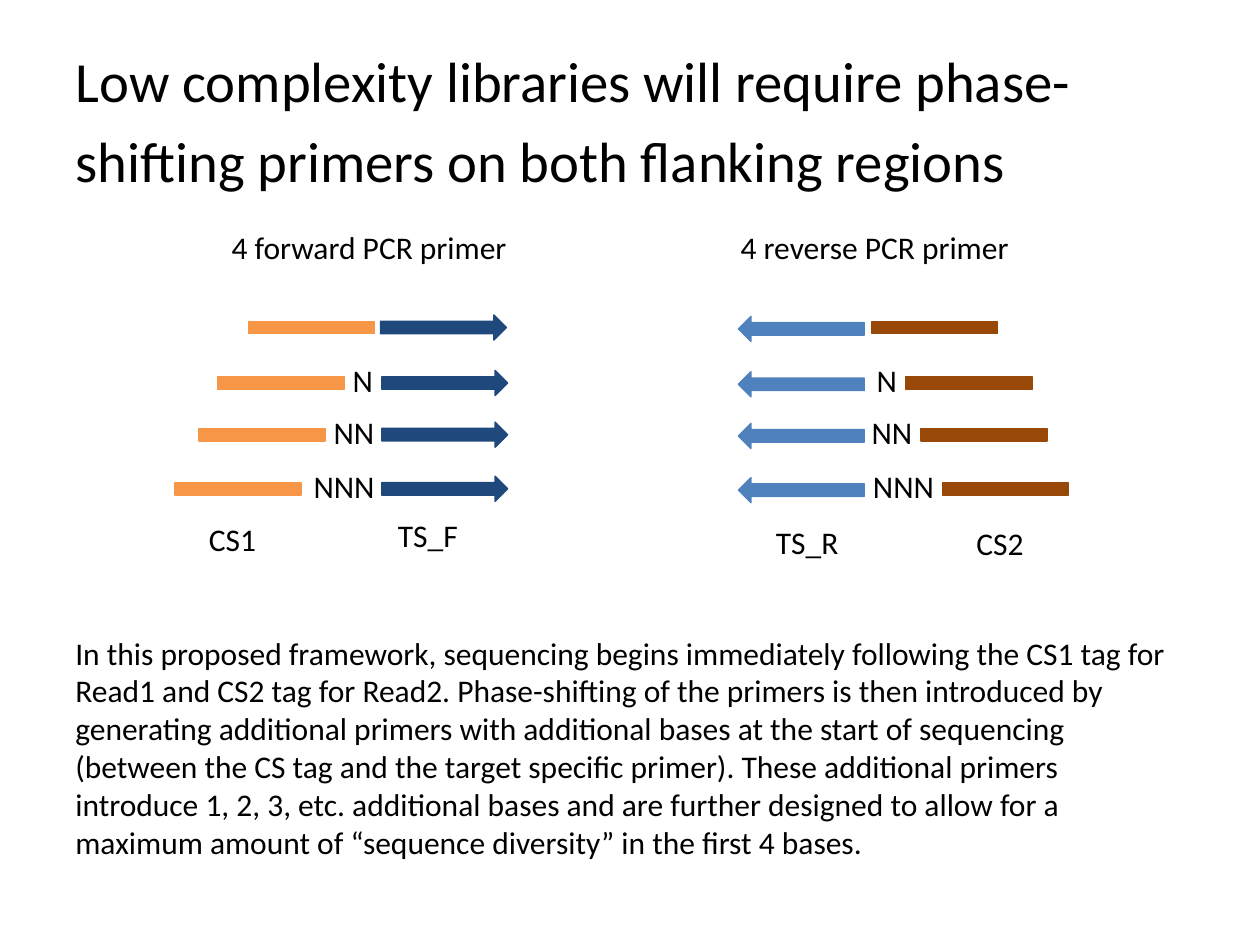
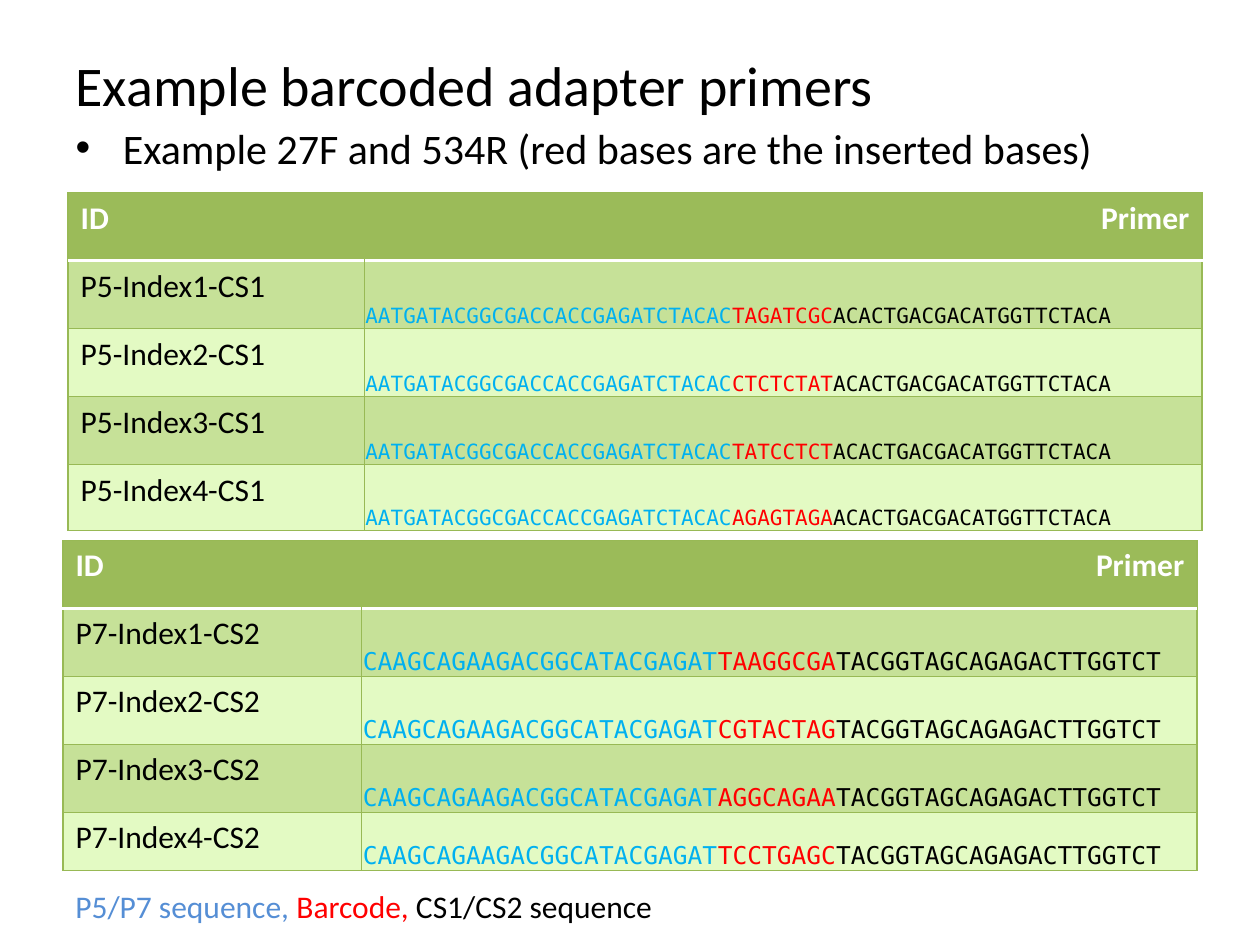
"""Builds two slides on phase-shifting and barcoded primers."""
from lxml import etree
from pptx import Presentation
from pptx.dml.color import RGBColor
from pptx.enum.shapes import MSO_SHAPE
from pptx.enum.text import MSO_ANCHOR, MSO_AUTO_SIZE, PP_ALIGN
from pptx.oxml.ns import qn
from pptx.util import Inches, Pt

RECT, ARROW = MSO_SHAPE.RECTANGLE, MSO_SHAPE.RIGHT_ARROW
TOP, MIDDLE, BOTTOM = MSO_ANCHOR.TOP, MSO_ANCHOR.MIDDLE, MSO_ANCHOR.BOTTOM
LEFT, RIGHT = PP_ALIGN.LEFT, PP_ALIGN.RIGHT
NO_FIT, GROW = MSO_AUTO_SIZE.NONE, MSO_AUTO_SIZE.SHAPE_TO_FIT_TEXT

SLIDE_W, SLIDE_H = Inches(10), Inches(7.5)
UNIT = SLIDE_W // 100  # the grid has 100 columns and 75 rows
TITLE_ONLY, TITLE_AND_BODY = 5, 1
SANS, MONO = "Calibri", "DejaVu Sans Mono"
COLORS = {
    "text": "000000", "white": "FFFFFF",
    "forward": "1F497D", "reverse": "4F81BD", "cs1": "F79646", "cs2": "984807",
    "header": "9BBB59", "band": "C6E198", "plain": "E3FAC3", "border": "98B955",
    "adapter": "00B0F0", "barcode": "FF0000", "legend": "558ED5",
}

# Phase-shift diagram, in grid units
SHIFTS = ["", "N", "NN", "NNN"]
ROW_TOPS = [25, 29.4, 33.5, 37.8]
LABEL_WIDTHS = [0, 3.4, 7.3, 11.8]
PRIMER_SETS = [
    {"arrow": "forward", "tag": "cs1", "turn": 0, "drop": 0,
     "arrow_lefts": [30.2, 30.3, 30.3, 30.3],
     "tag_lefts": [19.7, 17.3, 15.8, 13.9], "label_lefts": [0, 27, 25.5, 23.9]},
    {"arrow": "reverse", "tag": "cs2", "turn": 180, "drop": 0.1,
     "arrow_lefts": [58.6] * 4,
     "tag_lefts": [69.2, 71.9, 73.1, 74.8], "label_lefts": [0, 68.6, 68.2, 68.3]},
]
CAPTIONS = [
    ("4 forward PCR primer", 17.4, 17.6, 26.3),
    ("4 reverse PCR primer", 57.8, 17.6, 26.3),
    ("TS_F", 30.6, 40.5, 11.8), ("TS_R", 60.6, 41, 11.8),
    ("CS1", 15.6, 40.8, 11.8), ("CS2", 76.5, 41.1, 11.8),
]
FRAMEWORK = (
    "In this proposed framework, sequencing begins immediately following the CS1 "
    "tag for Read1 and CS2 tag for Read2. Phase-shifting of the primers is then "
    "introduced by generating additional primers with additional bases at the start "
    "of sequencing (between the CS tag and the target specific primer). These "
    "additional primers introduce 1, 2, 3, etc. additional bases and are further "
    "designed to allow for a maximum amount of “sequence diversity” in the first "
    "4 bases.")

PRIMER_TABLES = [
    {"id": "P5-Index{}-CS1", "box": (5.4, 15.3, 90, 26.8), "id_width": 23.5,
     "last_row": 5.2, "size": 12,
     "adapter": "AATGATACGGCGACCACCGAGATCTACAC", "tail": "ACACTGACGACATGGTTCTACA",
     "barcodes": ["TAGATCGC", "CTCTCTAT", "TATCCTCT", "AGAGTAGA"]},
    {"id": "P7-Index{}-CS2", "box": (5, 42.9, 90, 26.2), "id_width": 23.7,
     "last_row": 4.6, "size": 14,
     "adapter": "CAAGCAGAAGACGGCATACGAGAT", "tail": "TACGGTAGCAGAGACTTGGTCT",
     "barcodes": ["TAAGGCGA", "CGTACTAG", "AGGCAGAA", "TCCTGAGC"]},
]


def grid(*lengths):
    """Turn grid units into slide lengths."""
    return [round(length * UNIT) for length in lengths]


def color(name):
    """Look up a colour by its role."""
    return RGBColor.from_string(COLORS[name])


def apply(target, **values):
    """Set each given attribute on the target."""
    for name, value in values.items():
        setattr(target, name, value)


def write(frame, runs, size=18, font=SANS, bold=False, **paragraph_format):
    """Write (text, colour) runs as one paragraph."""
    paragraph = frame.paragraphs[0]
    apply(paragraph, **paragraph_format)
    for text, tone in runs:
        run = paragraph.add_run()
        run.text = text
        apply(run.font, size=Pt(size), name=font, bold=bold)
        run.font.color.rgb = color(tone)


def add_text(slide, box, *runs):
    """Add a wrapped text box that grows with its text."""
    frame = slide.shapes.add_textbox(*grid(*box)).text_frame
    apply(frame, word_wrap=True, auto_size=GROW)
    write(frame, runs)


def fill_placeholder(holder, box, text, size, anchor, **paragraph_format):
    """Move a template placeholder and write its text."""
    left, top, width, height = grid(*box)
    apply(holder, left=left, top=top, width=width, height=height)
    apply(holder.text_frame, auto_size=NO_FIT, vertical_anchor=anchor, word_wrap=True)
    write(holder.text_frame, [(text, "text")], size, **paragraph_format)


def add_block(slide, preset, box, tone, turn=0):
    """Add a flat shape in one colour."""
    block = slide.shapes.add_shape(preset, *grid(*box))
    apply(block, rotation=turn)
    block.shadow.inherit = False
    block.fill.solid()
    block.fill.fore_color.rgb = block.line.color.rgb = color(tone)
    block.line.width = Pt(0.75)


def add_primer_set(slide, primers):
    """Draw four primers, each shifted by one more base."""
    for i, (shift, top) in enumerate(zip(SHIFTS, ROW_TOPS)):
        add_block(slide, ARROW, (primers["arrow_lefts"][i], top + primers["drop"], 10, 2),
                  primers["arrow"], primers["turn"])
        add_block(slide, RECT, (primers["tag_lefts"][i], top + 0.5, 10, 1),
                  primers["tag"])
        if shift:
            add_text(slide, (primers["label_lefts"][i], top - 1.2, LABEL_WIDTHS[i], 4),
                     (shift, "text"))


def set_borders(cell, edges):
    """Draw the cell edges given as {side: (colour, points)}; None hides one."""
    properties = cell._tc.get_or_add_tcPr()
    for index, side in enumerate("LRTB"):
        edge = edges[side]
        line = etree.Element(qn(f"a:ln{side}"))
        if edge:
            tone, points = edge
            line.set("w", str(Pt(points)))
            fill = etree.SubElement(line, qn("a:solidFill"))
            etree.SubElement(fill, qn("a:srgbClr")).set("val", COLORS[tone])
        else:
            etree.SubElement(line, qn("a:noFill"))
        properties.insert(index, line)


def format_cell(cell, row, column):
    """Give a primer table cell its fill and borders."""
    tone = "header" if row == 0 else "band" if row % 2 else "plain"
    cell.fill.solid()
    cell.fill.fore_color.rgb = color(tone)
    edges = dict.fromkeys("LRTB", ("border", 0.75))
    if row == 0:
        edges["B"] = ("white", 2)
        edges["L" if column else "R"] = None
    elif row == 1:
        edges["T"] = ("white", 2)
    set_borders(cell, edges)


def add_primer_table(slide, spec):
    """Add a table of index names and coloured primer sequences."""
    barcodes = spec["barcodes"]
    rows = len(barcodes) + 1
    table = slide.shapes.add_table(rows, 2, *grid(*spec["box"])).table
    widths = grid(spec["id_width"], 90 - spec["id_width"])
    for column, width in zip(table.columns, widths):
        column.width = width
    for row, height in zip(table.rows, grid(*[5.4] * (rows - 1), spec["last_row"])):
        row.height = height

    write(table.cell(0, 0).text_frame, [("ID", "white")], bold=True)
    write(table.cell(0, 1).text_frame, [("Primer", "white")], bold=True, alignment=RIGHT)
    for number, barcode in enumerate(barcodes, 1):
        write(table.cell(number, 0).text_frame, [(spec["id"].format(number), "text")])
        primer = table.cell(number, 1)
        inset = Inches(0.01)
        apply(primer, vertical_anchor=BOTTOM, margin_left=inset, margin_right=inset,
              margin_top=inset, margin_bottom=0)
        write(primer.text_frame,
              [(spec["adapter"], "adapter"), (barcode, "barcode"), (spec["tail"], "text")],
              spec["size"], MONO)
    for row in range(rows):
        for column in range(2):
            format_cell(table.cell(row, column), row, column)


def build_phase_shift(deck):
    """Build the slide on phase-shifting primers."""
    slide = deck.slides.add_slide(deck.slide_layouts[TITLE_ONLY])
    title = slide.shapes.title
    fill_placeholder(title, (5, 6.2, 90, 12.5),
                     "Low complexity libraries will require phase-shifting primers "
                     "on both flanking regions", 32.4, MIDDLE,
                     alignment=LEFT, line_spacing=Pt(45.7))
    title.text_frame.margin_bottom = Inches(0.74)  # lifts the two lines
    for primers in PRIMER_SETS:
        add_primer_set(slide, primers)
    for caption, left, top, width in CAPTIONS:
        add_text(slide, (left, top, width, 4), (caption, "text"))
    add_text(slide, (5, 49.8, 90, 19.2), (FRAMEWORK, "text"))


def build_barcoded(deck):
    """Build the slide with the barcoded adapter tables."""
    slide = deck.slides.add_slide(deck.slide_layouts[TITLE_AND_BODY])
    fill_placeholder(slide.shapes.title, (5, 0.4, 90, 12.5),
                     "Example barcoded adapter primers", 32, MIDDLE, alignment=LEFT)
    fill_placeholder(slide.placeholders[1], (5, 9.2, 90, 7.8),
                     "Example 27F and 534R (red bases are the inserted bases)", 24, TOP,
                     space_before=Pt(4.8))
    for spec in PRIMER_TABLES:
        add_primer_table(slide, spec)
    add_text(slide, (5, 69.9, 90, 4), ("P5/P7 sequence, ", "legend"),
             ("Barcode, ", "barcode"), ("CS1/CS2 sequence", "text"))


def main():
    """Build and save the deck."""
    deck = Presentation()
    apply(deck, slide_width=SLIDE_W, slide_height=SLIDE_H)
    build_phase_shift(deck)
    build_barcoded(deck)
    deck.save("out.pptx")


main()
